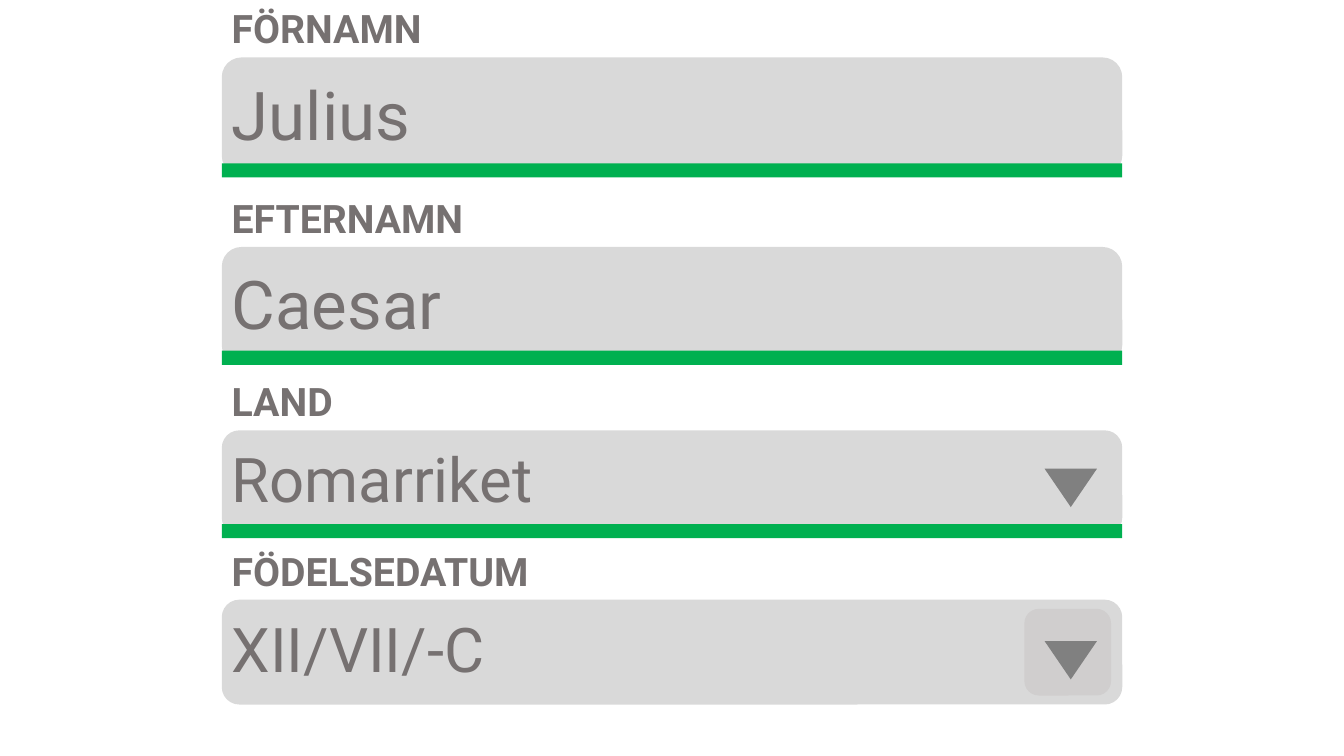
from dataclasses import dataclass

import pptx
import pptx.dml.color
import pptx.enum.shapes
import pptx.enum.text
import pptx.util

SHAPE = pptx.enum.shapes.MSO_SHAPE
ANCHOR = pptx.enum.text.MSO_ANCHOR
COLOURS = {
    "field": "D9D9D9",
    "valid": "00B050",
    "text": "767171",
    "button": "D0CECE",
    "arrow": "808080",
}
FONT = "Roboto"
SLIDE_WIDTH = pptx.util.Inches(13.33)
SLIDE_HEIGHT = pptx.util.Inches(7.5)
COLUMN = SLIDE_WIDTH / 100
ROW = SLIDE_HEIGHT / 100

FIELD_LEFT, FIELD_WIDTH = 16.5, 67
TALL, SHORT = 15.6, 13.87
LABEL_HEIGHT = 7.33
VALUE_HEIGHT = 11.6
BAR_HEIGHT = 1.87
ARROW_LEFT, ARROW_WIDTH, ARROW_HEIGHT = 77.72, 3.9, 5.07


@dataclass
class Field:
    label: str
    value: str
    top: float
    height: float
    value_top: float
    value_size: int
    value_width: float = FIELD_WIDTH
    bar_top: float | None = None
    arrow_top: float | None = None
    has_button: bool = False


FIELDS = [
    Field("FÖRNAMN", "Julius", 7.6, TALL, 9.87, 48, bar_top=21.6),
    Field("EFTERNAMN", "Caesar", 32.67, TALL, 34.93, 48, bar_top=46.4),
    Field("LAND", "Romarriket", 56.93, SHORT, 58, 44, 54.24,
          bar_top=69.33, arrow_top=62),
    Field("FÖDELSEDATUM", "XII/VII/-C", 79.33, SHORT, 80.53, 44, 54.24,
          arrow_top=84.8, has_button=True),
]


def place(left, top, width, height):
    return (round(left * COLUMN), round(top * ROW),
            round(width * COLUMN), round(height * ROW))


def rgb(name):
    return pptx.dml.color.RGBColor.from_string(COLOURS[name])


def add_block(slide, preset, colour, *box):
    block = slide.shapes.add_shape(preset, *place(*box))
    block.shadow.inherit = False
    block.fill.solid()
    block.fill.fore_color.rgb = rgb(colour)
    block.line.fill.background()
    return block


def add_text(slide, words, size, anchor, *box, bold=False):
    frame = slide.shapes.add_textbox(*place(*box)).text_frame
    frame.word_wrap = True
    frame.vertical_anchor = anchor
    paragraph = frame.paragraphs[0]
    paragraph.line_spacing = 0.9
    run = paragraph.add_run()
    run.text = words
    run.font.name = FONT
    run.font.size = pptx.util.Pt(size)
    run.font.bold = bold
    run.font.color.rgb = rgb("text")


def add_field(slide, field):
    add_block(slide, SHAPE.ROUNDED_RECTANGLE, "field",
              FIELD_LEFT, field.top, FIELD_WIDTH, field.height)
    add_text(slide, field.label, 28, ANCHOR.BOTTOM, FIELD_LEFT,
             field.top - LABEL_HEIGHT, FIELD_WIDTH, LABEL_HEIGHT, bold=True)
    add_text(slide, field.value, field.value_size, ANCHOR.MIDDLE, FIELD_LEFT,
             field.value_top, field.value_width, VALUE_HEIGHT)
    if field.bar_top is not None:
        add_block(slide, SHAPE.RECTANGLE, "valid",
                  FIELD_LEFT, field.bar_top, FIELD_WIDTH, BAR_HEIGHT)
    if field.has_button:
        add_block(slide, SHAPE.ROUNDED_RECTANGLE, "button",
                  76.22, field.value_top, 6.45, 11.47)
    if field.arrow_top is not None:
        arrow = add_block(slide, SHAPE.ISOSCELES_TRIANGLE, "arrow",
                          ARROW_LEFT, field.arrow_top, ARROW_WIDTH, ARROW_HEIGHT)
        arrow.rotation = 180


def main():
    presentation = pptx.Presentation()
    presentation.slide_width = SLIDE_WIDTH
    presentation.slide_height = SLIDE_HEIGHT
    form = presentation.slides.add_slide(presentation.slide_layouts[6])
    for field in FIELDS:
        add_field(form, field)
    presentation.save("out.pptx")


if __name__ == "__main__":
    main()
